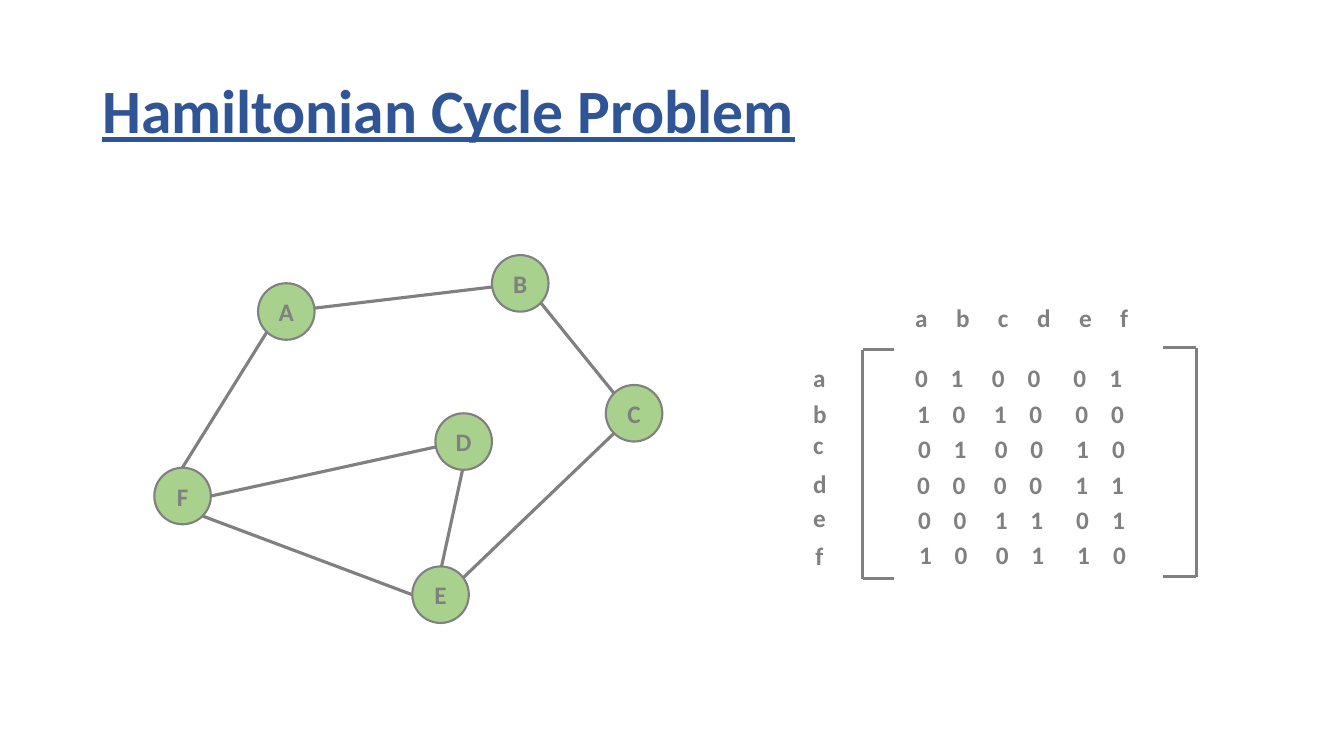
"""Build the Hamiltonian cycle slide with its graph and adjacency matrix."""

from dataclasses import dataclass

from lxml.etree import SubElement
from pptx import Presentation
from pptx.dml.color import RGBColor
from pptx.enum.shapes import MSO_CONNECTOR as Connector, MSO_SHAPE as Preset
from pptx.enum.text import MSO_ANCHOR as Anchor, MSO_AUTO_SIZE as AutoSize, PP_ALIGN as Align
from pptx.oxml.ns import qn
from pptx.slide import Slide
from pptx.text.text import TextFrame
from pptx.util import Pt


@dataclass(frozen=True)
class Theme:
    font: str = "Calibri"
    title_color: RGBColor = RGBColor(0x2F, 0x55, 0x97)
    ink: RGBColor = RGBColor(0x80, 0x80, 0x80)
    node_fill: RGBColor = RGBColor(0xA9, 0xD1, 0x8E)
    title_size: float = 44
    text_size: float = 18
    line_width: float = 2.25
    outline_width: float = 1.5


@dataclass(frozen=True)
class Node:
    name: str
    left: float
    top: float


@dataclass(frozen=True)
class Line:
    x1: float
    y1: float
    x2: float
    y2: float


@dataclass(frozen=True)
class Bracket:
    spine: float
    tip: float
    top: float
    bottom: float


@dataclass(frozen=True)
class MatrixRow:
    label: str
    label_left: float
    label_top: float
    values: str
    left: float
    top: float


THEME = Theme()
NODE_SIZE = 40.4
LABEL_WIDTH = 30
ROW_WIDTH = 172
TEXT_HEIGHT = 29
HEADER_TABS = (29.2, 59.2, 87.1, 117.1, 146.5)
VALUE_TABS = (25.4, 54.9, 80.3, 113, 138.7)

NODES = (
    Node("A", 184.3, 202.3),
    Node("B", 351.4, 182.2),
    Node("F", 110.2, 334.1),
    Node("D", 311, 295.2),
    Node("E", 294.5, 404.6),
    Node("C", 432.7, 275),
)
EDGES = (
    Line(329, 315.4, 151.2, 354.2),
    Line(204.5, 222.5, 374.4, 202.3),
    Line(318.2, 424.8, 438.5, 309.6),
    Line(311, 424.8, 334.8, 315.4),
    Line(190.8, 236.9, 130.3, 334.1),
    Line(294.5, 424.8, 144.7, 368.6),
    Line(438.5, 280.8, 386.6, 216.7),
)
BRACKETS = (
    Bracket(616.3, 638.6, 249.8, 413.3),
    Bracket(854.6, 830.9, 248.4, 411.8),
)
ROWS = (
    MatrixRow("a", 573.8, 254.9, "010001", 646.6, 254.9),
    MatrixRow("b", 573.8, 280.8, "101000", 648, 280.8),
    MatrixRow("c", 573.8, 303.1, "010010", 648.7, 306),
    MatrixRow("d", 573.8, 331.2, "000011", 648, 331.9),
    MatrixRow("e", 573.8, 355, "001101", 648.7, 356.4),
    MatrixRow("f", 575.3, 382.3, "100110", 649.4, 381.6),
)


def format_text(frame: TextFrame, size: float, color: RGBColor, underline: bool = False) -> None:
    for paragraph in frame.paragraphs:
        for run in paragraph.runs:
            run.font.name = THEME.font
            run.font.size = Pt(size)
            run.font.bold = True
            run.font.underline = underline
            run.font.color.rgb = color


def add_title(slide: Slide, text: str) -> None:
    title = slide.shapes.title
    title.left, title.top, title.width, title.height = Pt(66), Pt(28.8), Pt(828), Pt(104.4)
    frame = title.text_frame
    frame.text = text
    frame.auto_size = AutoSize.NONE
    frame.vertical_anchor = Anchor.MIDDLE
    frame.paragraphs[0].alignment = Align.LEFT
    frame.paragraphs[0].line_spacing = 0.9
    format_text(frame, THEME.title_size, THEME.title_color, underline=True)


def add_line(slide: Slide, line: Line) -> None:
    connector = slide.shapes.add_connector(
        Connector.STRAIGHT, Pt(line.x1), Pt(line.y1), Pt(line.x2), Pt(line.y2)
    )
    connector.line.color.rgb = THEME.ink
    connector.line.width = Pt(THEME.line_width)
    SubElement(connector._element.spPr, qn("a:effectLst"))


def add_node(slide: Slide, node: Node) -> None:
    shape = slide.shapes.add_shape(
        Preset.OVAL, Pt(node.left), Pt(node.top), Pt(NODE_SIZE), Pt(NODE_SIZE)
    )
    shape.shadow.inherit = False
    shape.fill.solid()
    shape.fill.fore_color.rgb = THEME.node_fill
    shape.line.color.rgb = THEME.ink
    shape.line.width = Pt(THEME.outline_width)
    frame = shape.text_frame
    frame.text = node.name
    frame.vertical_anchor = Anchor.MIDDLE
    frame.paragraphs[0].alignment = Align.CENTER
    format_text(frame, THEME.text_size, THEME.ink)


def add_bracket(slide: Slide, bracket: Bracket) -> None:
    add_line(slide, Line(bracket.spine, bracket.top, bracket.spine, bracket.bottom))
    for y in (bracket.bottom, bracket.top):
        add_line(slide, Line(bracket.spine, y, bracket.tip, y))


def add_text(
    slide: Slide, text: str, left: float, top: float, width: float, tabs: tuple[float, ...] = ()
) -> None:
    box = slide.shapes.add_textbox(Pt(left), Pt(top), Pt(width), Pt(TEXT_HEIGHT))
    frame = box.text_frame
    frame.word_wrap = True
    frame.text = text
    if tabs:
        tab_list = SubElement(frame.paragraphs[0]._p.get_or_add_pPr(), qn("a:tabLst"))
        for position in tabs:
            SubElement(tab_list, qn("a:tab"), pos=str(int(Pt(position))), algn="l")
    format_text(frame, THEME.text_size, THEME.ink)


def main() -> None:
    presentation = Presentation()
    presentation.slide_width, presentation.slide_height = Pt(960), Pt(540)
    slide = presentation.slides.add_slide(presentation.slide_layouts[5])
    add_title(slide, "Hamiltonian Cycle Problem")
    for edge in EDGES:
        add_line(slide, edge)
    for node in NODES:
        add_node(slide, node)
    for bracket in BRACKETS:
        add_bracket(slide, bracket)
    header = "\t".join(row.label for row in ROWS)
    add_text(slide, header, 646.6, 212.4, ROW_WIDTH, HEADER_TABS)
    for row in ROWS:
        add_text(slide, row.label, row.label_left, row.label_top, LABEL_WIDTH)
        add_text(slide, "\t".join(row.values), row.left, row.top, ROW_WIDTH, VALUE_TABS)
    presentation.save("out.pptx")


if __name__ == "__main__":
    main()
